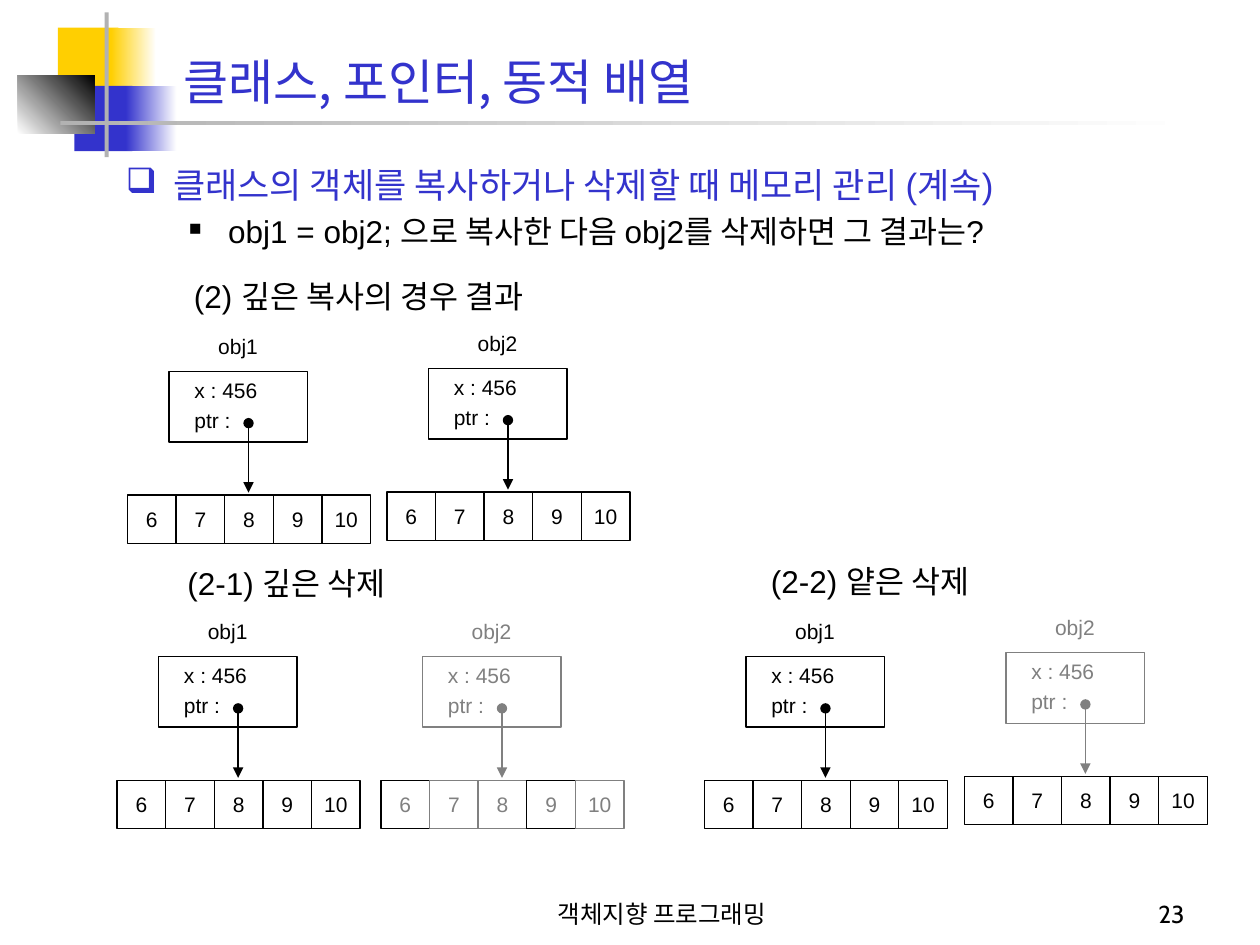
import pptx
import pptx.dml.color
import pptx.enum.shapes
import pptx.enum.text
import pptx.oxml.ns
import pptx.util
from lxml import etree

Cm, Pt = pptx.util.Cm, pptx.util.Pt
SHAPES = pptx.enum.shapes.MSO_SHAPE
ALIGN = pptx.enum.text.PP_ALIGN
ANCHOR = pptx.enum.text.MSO_ANCHOR
qn = pptx.oxml.ns.qn

COLORS = {"black": "000000", "gray": "808080", "blue": "3333CC",
          "yellow": "FFCF01", "silver": "B2B2B2", "white": "FFFFFF"}
KOREAN = "Noto Sans CJK KR"

# Content; all lengths in cm
TITLE = "클래스, 포인터, 동적 배열"
FOOTER = "객체지향 프로그래밍"
PAGE_NUMBER = "23"
# text, size, color, bullet, bullet size %, left indent, hanging indent
OUTLINE = [
    ("클래스의 객체를 복사하거나 삭제할 때 메모리 관리 (계속)",
     20, "blue", "❑", 100, 0.95, 0.95),
    ("obj1 = obj2; 으로 복사한 다음 obj2를 삭제하면 그 결과는?",
     18, "black", "■", 55, 2.06, 0.79),
]
HEADINGS = [  # text, left, top, width
    ("(2) 깊은 복사의 경우 결과", 3.66, 5.46, 7.77),
    ("(2-1) 깊은 삭제", 3.53, 11.25, 4.78),
    ("(2-2) 얕은 삭제", 15.29, 11.2, 4.78),
]
MEMBERS = ["x : 456", "ptr :"]
ARRAY = ["6", "7", "8", "9", "10"]
SOLID = ["black"] * 5
PARTLY_FREED = ["black", "gray", "gray", "black", "gray"]
# name, left, top, object color, array text color, array border colors
OBJECTS = [
    ("obj2", 7.8, 6.54, "black", "black", SOLID),
    ("obj1", 2.57, 6.6, "black", "black", SOLID),
    ("obj2", 7.68, 12.35, "gray", "gray", PARTLY_FREED),
    ("obj2", 19.44, 12.27, "gray", "black", SOLID),
    ("obj1", 14.2, 12.35, "black", "black", SOLID),
    ("obj1", 2.36, 12.35, "black", "black", SOLID),
]
# left, top, width, height, colors, gradient angle
DECORATION = [
    (1.17, 0.56, 1.22, 1.32, ["yellow"], 0),
    (2.24, 0.56, 0.91, 1.32, ["yellow", "white"], 0),
    (1.5, 1.73, 1.17, 1.32, ["blue"], 0),
    (2.54, 1.73, 1.02, 1.32, ["blue", "white"], 0),
    (0.36, 1.52, 1.55, 1.17, ["white", "black"], 45),
    (2.11, 0.25, 0.08, 2.92, ["silver"], 0),
    (1.22, 2.44, 22.86, 0.08, ["silver", "white"], 0),
]
CELL = 0.98

presentation = pptx.Presentation()
presentation.slide_width, presentation.slide_height = Cm(25.4), Cm(19.05)
slide = presentation.slides.add_slide(presentation.slide_layouts[6])


def rgb(color):
    return pptx.dml.color.RGBColor.from_string(COLORS[color])


def style(paragraph, size, color, font="Arial"):
    for run in paragraph.runs:
        run.font.size = Pt(size)
        run.font.name = font
        run.font.color.rgb = rgb(color)
        east_asian = etree.SubElement(run.font._element, qn("a:ea"))
        east_asian.set("typeface", KOREAN)


def write(shape, text, size, color, font="Arial", align=ALIGN.LEFT,
          anchor=ANCHOR.TOP, wrap=False):
    frame = shape.text_frame
    frame.text = text
    frame.word_wrap = wrap
    frame.vertical_anchor = anchor
    for index, paragraph in enumerate(frame.paragraphs):
        paragraph.alignment = align
        if index:
            paragraph.space_before = Pt(size * 0.2)
        style(paragraph, size, color, font)
    return frame


def add_text(left, top, width, height, *text, **options):
    box = slide.shapes.add_textbox(Cm(left), Cm(top), Cm(width), Cm(height))
    return write(box, *text, **options)


def add_box(left, top, width, height):
    box = slide.shapes.add_shape(SHAPES.RECTANGLE, Cm(left), Cm(top),
                                 Cm(width), Cm(height))
    box.shadow.inherit = False
    return box


def add_outline_box(left, top, width, height, border):
    box = add_box(left, top, width, height)
    box.fill.background()
    box.line.color.rgb = rgb(border)
    box.line.width = Pt(0.75)
    return box


def add_pointer(x, top, bottom, color):
    pointer = slide.shapes.add_connector(
        pptx.enum.shapes.MSO_CONNECTOR.STRAIGHT,
        Cm(x), Cm(top), Cm(x), Cm(bottom))
    pointer.line.color.rgb = rgb(color)
    pointer.line.width = Pt(0.75)
    line = pointer.line._get_or_add_ln()
    for end, head in (("headEnd", "oval"), ("tailEnd", "triangle")):
        etree.SubElement(line, qn(f"a:{end}")).set("type", head)
    etree.SubElement(pointer._element.spPr, qn("a:effectLst"))


def add_bullet(paragraph, bullet, color, percent, indent, hanging):
    properties = paragraph._p.get_or_add_pPr()
    properties.set("marL", str(Cm(indent)))
    properties.set("indent", str(-Cm(hanging)))
    bullet_color = etree.SubElement(properties, qn("a:buClr"))
    etree.SubElement(bullet_color, qn("a:srgbClr")).set("val", COLORS[color])
    etree.SubElement(properties, qn("a:buSzPct")).set("val", str(percent * 1000))
    etree.SubElement(properties, qn("a:buChar")).set("char", bullet)


def add_object(name, left, top, color, array_color, borders):
    add_pointer(left + 2.44, top + 1.93, top + 3.33, color)
    body = add_outline_box(left + 0.84, top + 0.89, 2.79, 1.42, color)
    members = write(body, "\n".join(MEMBERS), 12, color, wrap=True)
    members.margin_left = Cm(0.51)
    for index, (value, border) in enumerate(zip(ARRAY, borders)):
        cell = add_outline_box(left + index * CELL, top + 3.38, CELL, CELL, border)
        write(cell, value, 12, array_color, align=ALIGN.CENTER,
              anchor=ANCHOR.MIDDLE)
    add_text(left + 1.58, top, 1.32, 0.76, name, 12, color)


# Corner decoration
for left, top, width, height, fills, angle in DECORATION:
    block = add_box(left, top, width, height)
    block.line.fill.background()
    if len(fills) == 1:
        block.fill.solid()
        block.fill.fore_color.rgb = rgb(fills[0])
    else:
        block.fill.gradient()
        block.fill.gradient_angle = angle
        for stop, color in zip(block.fill.gradient_stops, fills):
            stop.color.rgb = rgb(color)

# Footer and title
add_text(9.32, 17.58, 8.05, 1.27, FOOTER, 14, "black", font="Cabin",
         align=ALIGN.CENTER, anchor=ANCHOR.BOTTOM, wrap=True)
add_text(18.85, 17.58, 5.28, 1.27, PAGE_NUMBER, 14, "black", font="Cabin",
         align=ALIGN.RIGHT, anchor=ANCHOR.BOTTOM, wrap=True)
add_text(3.45, 0.46, 21.64, 1.88, TITLE, 28, "blue", font=KOREAN,
         anchor=ANCHOR.BOTTOM, wrap=True)

# Outline
outline = add_text(2.54, 3.18, 22.33, 13.87,
                   "\n".join(item[0] for item in OUTLINE), 18, "black", wrap=True)
outline.margin_left = 0
for paragraph, (_, size, color, bullet, percent, indent, hanging) in zip(
        outline.paragraphs, OUTLINE):
    add_bullet(paragraph, bullet, color, percent, indent, hanging)
    for run in paragraph.runs:
        run.font.size = Pt(size)
        run.font.color.rgb = rgb(color)

# Memory diagrams
for item in OBJECTS:
    add_object(*item)
for text, left, top, width in HEADINGS:
    add_text(left, top, width, 1.02, text, 18, "black")

presentation.save("out.pptx")
